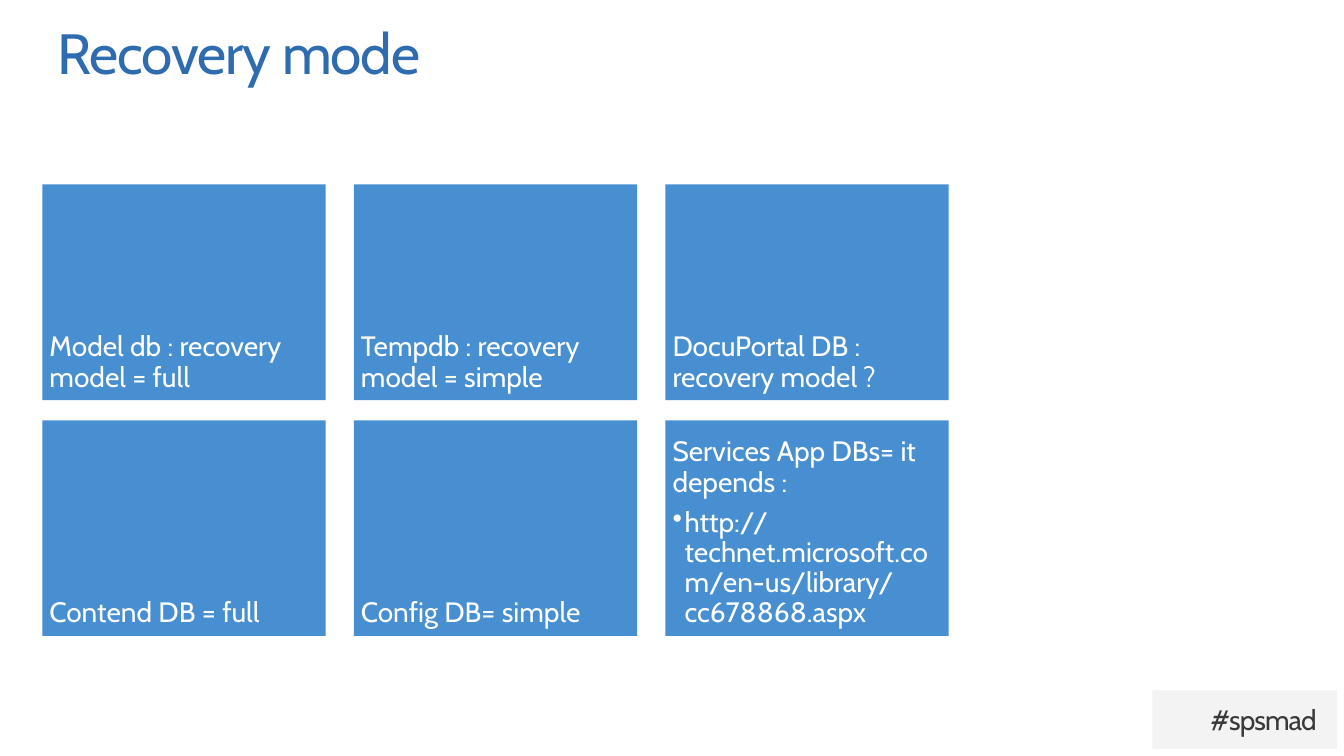
"""Build the slide on database recovery modes."""
from lxml import etree
from pptx import Presentation
from pptx import util as u
from pptx.dml.color import RGBColor
from pptx.enum import shapes, text
from pptx.oxml.ns import qn

COLORS = {"title": "2E6CAF", "tile": "478FD0", "tile_text": "FFFFFF",
          "tag": "F2F2F2", "tag_text": "393939"}
LEFT, TOP = 0.42, 1.83
TILE_WIDTH, TILE_HEIGHT = 2.81, 2.14
COLUMN_PITCH, ROW_PITCH = 3.09, 2.34
TILES = [
    [["Model db : recovery model = full"],
     ["Tempdb : recovery model = simple"],
     ["DocuPortal DB : recovery model ?"]],
    [["Contend DB = full"],
     ["Config DB= simple"],
     ["Services App DBs= it depends :",
      "http://technet.microsoft.com/en-us/library/cc678868.aspx"]],
]


def add_box(left, top, width, height, fill=None, inset=(0, 0),
            anchor=text.MSO_ANCHOR.TOP):
    shape = slide.shapes.add_shape(
        shapes.MSO_SHAPE.RECTANGLE, *map(u.Inches, (left, top, width, height)))
    shape.shadow.inherit = False
    shape.line.fill.background()
    if fill:
        shape.fill.solid()
        shape.fill.fore_color.rgb = RGBColor.from_string(COLORS[fill])
    else:
        shape.fill.background()
    frame = shape.text_frame
    frame.word_wrap = True
    frame.vertical_anchor = anchor
    frame.margin_left = frame.margin_right = u.Inches(inset[0])
    frame.margin_top = frame.margin_bottom = u.Inches(inset[1])
    return shape


def write(paragraph, words, size, color, spacing=0, align=text.PP_ALIGN.LEFT):
    run = paragraph.add_run()
    run.text = words
    paragraph.alignment = align
    paragraph.line_spacing = 0.9
    paragraph.font.name = "Cabin"
    paragraph.font.size = u.Pt(size)
    paragraph.font.color.rgb = RGBColor.from_string(COLORS[color])
    if spacing:
        run.font._element.set("spc", str(round(spacing * 100)))


presentation = Presentation()
presentation.slide_width = u.Inches(13.33)
presentation.slide_height = u.Inches(7.5)
slide = presentation.slides.add_slide(presentation.slide_layouts[6])

tag = add_box(11.43, 6.85, 1.83, 0.58, "tag", (0.2, 0.12))
tag_color = tag.fill._xPr.find(qn("a:solidFill")).find(qn("a:srgbClr"))
etree.SubElement(tag_color, qn("a:alpha")).set("val", "85000")
write(tag.text_frame.paragraphs[0], "#spsmad", 20, "tag_text", -0.7,
      text.PP_ALIGN.RIGHT)
tag.text_frame.paragraphs[0].line_spacing = 1.0

title = add_box(0.57, 0.25, 12.2, 0.82)
write(title.text_frame.paragraphs[0], "Recovery mode", 40.5, "title", -0.8)

for row, tiles in enumerate(TILES):
    for column, (label, *bullets) in enumerate(tiles):
        tile = add_box(LEFT + column * COLUMN_PITCH, TOP + row * ROW_PITCH,
                       TILE_WIDTH, TILE_HEIGHT, "tile", (0.07, 0.07),
                       text.MSO_ANCHOR.BOTTOM)
        write(tile.text_frame.paragraphs[0], label, 20, "tile_text")
        for bullet in bullets:
            paragraph = tile.text_frame.add_paragraph()
            paragraph.level = 1
            paragraph.space_before = u.Pt(7)
            properties = paragraph._p.get_or_add_pPr()
            properties.set("marL", str(u.Inches(0.12)))
            properties.set("indent", str(-u.Inches(0.12)))
            etree.SubElement(properties, qn("a:buChar")).set("char", "•")
            write(paragraph, bullet, 20, "tile_text")

presentation.save("out.pptx")
